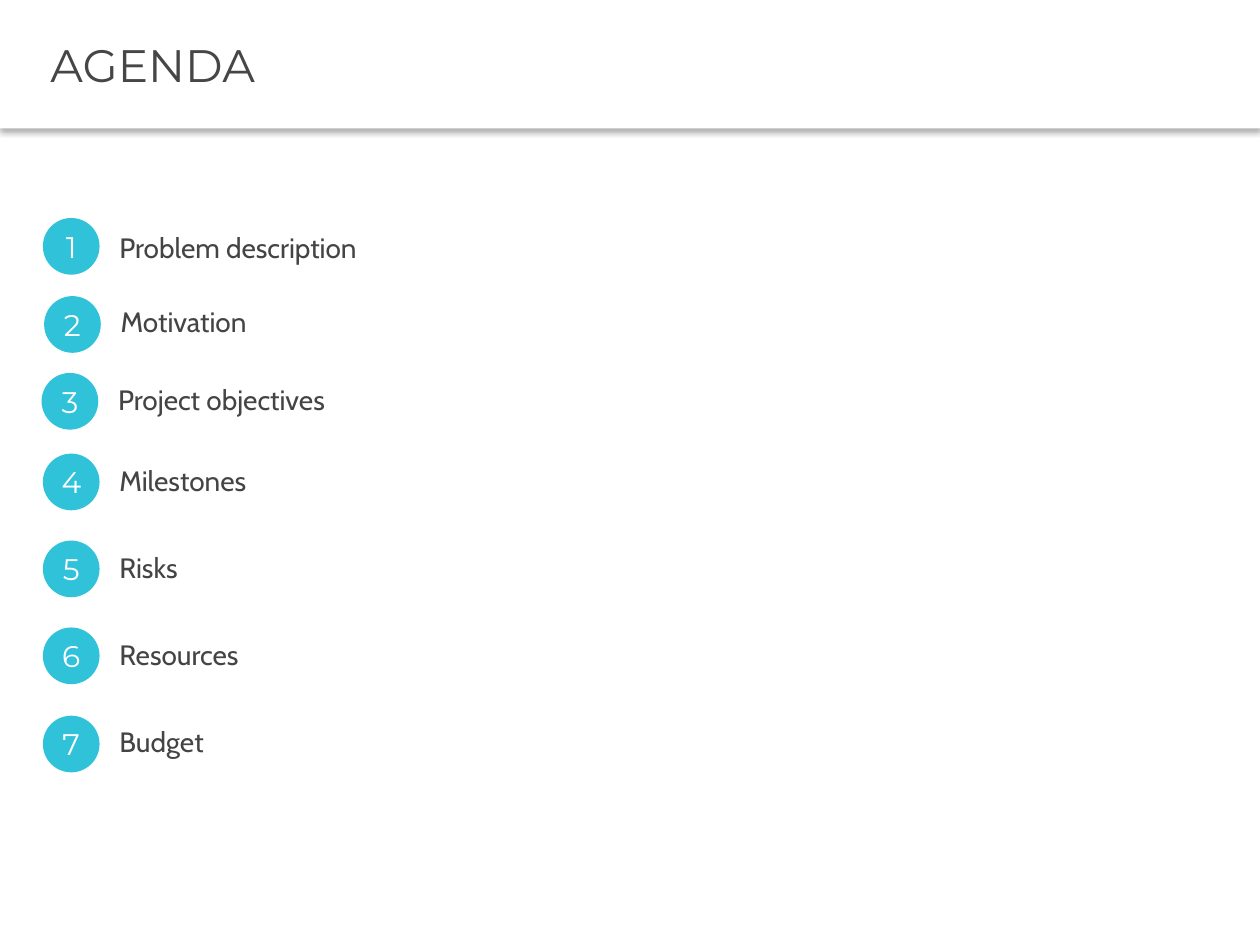
import pptx
import pptx.util
import pptx.oxml
import pptx.oxml.ns
import pptx.dml.color
import pptx.enum.shapes
import pptx.enum.text

Inches = pptx.util.Inches
COLORS = {
    "white": "FFFFFF",
    "title": "464547",
    "circle": "2FC2D9",
    "label": "444444",
}
AGENDA = [
    ("Problem description", 0.34, 1.73, 0.05),
    ("Motivation", 0.35, 2.35, 0.02),
    ("Project objectives", 0.33, 2.96, 0.03),
    ("Milestones", 0.34, 3.6, 0.03),
    ("Risks", 0.34, 4.29, 0.03),
    ("Resources", 0.34, 4.98, 0.03),
    ("Budget", 0.34, 5.68, 0.02),
]
SHADOW = (
    "<a:effectLst %s>"
    '<a:outerShdw blurRad="39370" dist="25400" dir="5400000" algn="t" rotWithShape="0">'
    '<a:srgbClr val="000000"><a:alpha val="30000"/></a:srgbClr>'
    "</a:outerShdw></a:effectLst>"
)


def rgb(name):
    return pptx.dml.color.RGBColor.from_string(COLORS[name])


def fill(sp, color):
    sp.fill.solid()
    sp.fill.fore_color.rgb = rgb(color)
    sp.line.fill.background()


def set_insets(tf, left, top, right, bottom):
    tf.margin_left, tf.margin_top = Inches(left), Inches(top)
    tf.margin_right, tf.margin_bottom = Inches(right), Inches(bottom)


def add_run(tf, text, size, font, color, align):
    p = tf.paragraphs[0]
    p.alignment = align
    r = p.add_run()
    r.text = text
    r.font.size = pptx.util.Pt(size)
    r.font.name = font
    r.font.color.rgb = rgb(color)


def add_title(s, text):
    sp = s.shapes.title
    sp.left, sp.top = Inches(0), Inches(0)
    sp.width, sp.height = Inches(10), Inches(1.02)
    fill(sp, "white")
    shadow = pptx.oxml.parse_xml(SHADOW % pptx.oxml.ns.nsdecls("a"))
    sp.element.spPr.append(shadow)
    tf = sp.text_frame
    tf.auto_size = pptx.enum.text.MSO_AUTO_SIZE.NONE
    tf.vertical_anchor = pptx.enum.text.MSO_ANCHOR.MIDDLE
    set_insets(tf, 0.4, 0.05, 0.1, 0.05)
    add_run(tf, text, 26, "Montserrat", "title", pptx.enum.text.PP_ALIGN.LEFT)


def add_label(shapes, text, left, top):
    sp = shapes.add_textbox(Inches(left), Inches(top), Inches(8), Inches(0.37))
    tf = sp.text_frame
    tf.word_wrap = True
    tf.auto_size = pptx.enum.text.MSO_AUTO_SIZE.SHAPE_TO_FIT_TEXT
    add_run(tf, text, 16, "Cabin", "label", pptx.enum.text.PP_ALIGN.LEFT)


def add_circle(shapes, left, top):
    sp = shapes.add_shape(pptx.enum.shapes.MSO_SHAPE.OVAL, Inches(left),
                          Inches(top), Inches(0.45), Inches(0.45))
    sp.shadow.inherit = False
    fill(sp, "circle")


def add_number(shapes, number, left, top):
    sp = shapes.add_textbox(Inches(left), Inches(top), Inches(0.35), Inches(0.27))
    tf = sp.text_frame
    tf.word_wrap = False
    tf.vertical_anchor = pptx.enum.text.MSO_ANCHOR.MIDDLE
    set_insets(tf, 0.1, 0.1, 0.1, 0)
    add_run(tf, str(number), 17, "Montserrat", "white",
            pptx.enum.text.PP_ALIGN.CENTER)


def add_item(s, number, text, left, top, drop):
    shapes = s.shapes.add_group_shape().shapes
    add_label(shapes, text, left + 0.51, top + drop)
    add_circle(shapes, left, top)
    add_number(shapes, number, left + 0.05, top + 0.04)


def main():
    prs = pptx.Presentation()
    prs.slide_width, prs.slide_height = Inches(10), Inches(7.5)
    s = prs.slides.add_slide(prs.slide_layouts[5])
    s.background.fill.solid()
    s.background.fill.fore_color.rgb = rgb("white")
    add_title(s, "AGENDA")
    for number, item in enumerate(AGENDA, 1):
        add_item(s, number, *item)
    prs.save("out.pptx")


if __name__ == "__main__":
    main()
